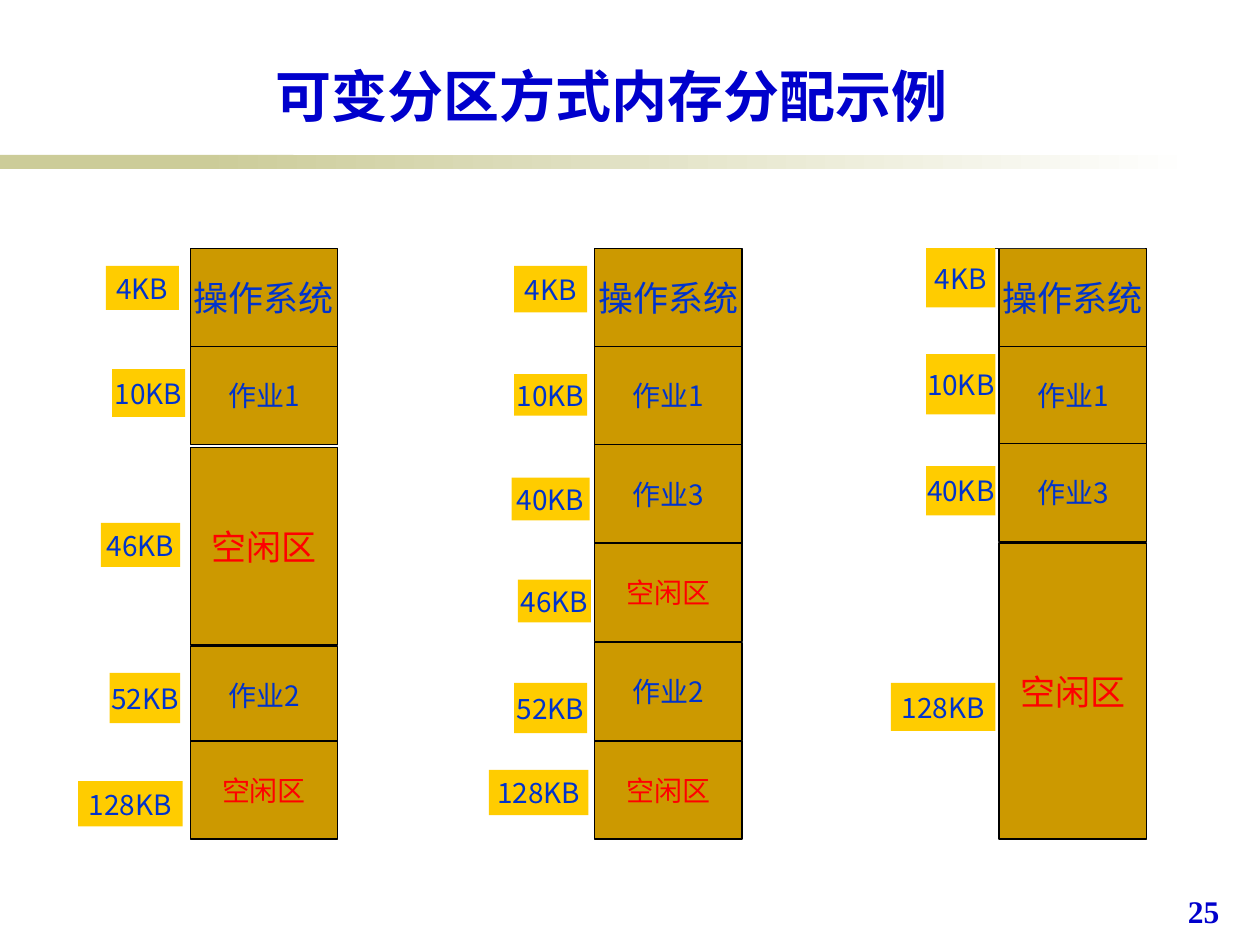
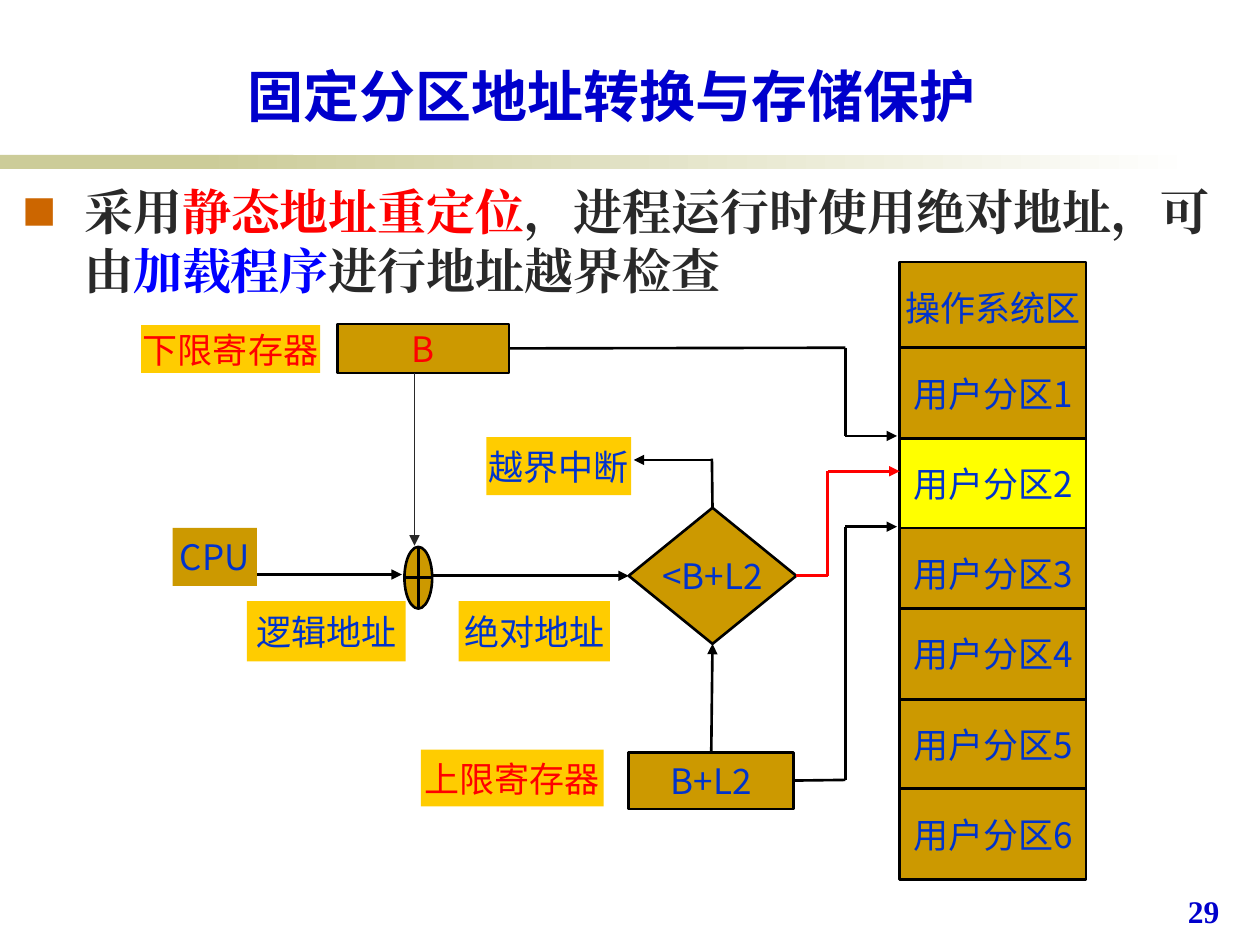
"""Two slides on memory partitions: variable allocation and fixed-partition protection."""
from lxml.etree import SubElement
from pptx import Presentation
from pptx.dml.color import RGBColor
from pptx.enum.shapes import MSO_CONNECTOR, MSO_SHAPE
from pptx.enum.text import MSO_ANCHOR, PP_ALIGN
from pptx.oxml.ns import qn
from pptx.util import Inches, Pt

SANS, SERIF = "Noto Sans CJK JP", "Times New Roman"
GOLD, LABEL, BAND = "CC9900", "FFCC00", "CCCC99"
BLUE, NAVY, RED, BLACK, DARK = "0033CC", "0000CC", "FF0000", "000000", "292929"
RECT = MSO_SHAPE.RECTANGLE


def box(s, kind, at, runs=(), size=20, fill=None, line=None, font=SANS, bold=None,
        align=PP_ALIGN.CENTER, anchor=MSO_ANCHOR.MIDDLE):
    at = [Inches(v) for v in at]
    sp = s.shapes.add_textbox(*at) if kind is None else s.shapes.add_shape(kind, *at)
    tf = sp.text_frame
    tf.word_wrap = kind is None
    tf.vertical_anchor = anchor
    if kind is not None:
        sp.shadow.inherit = False
        tf.margin_left = tf.margin_right = tf.margin_top = tf.margin_bottom = 0
        sp.fill.solid()
        sp.fill.fore_color.rgb = RGBColor.from_string(fill)
        if line:
            sp.line.color.rgb = RGBColor.from_string(BLACK)
            sp.line.width = Pt(line)
        else:
            sp.line.fill.background()
    p = tf.paragraphs[0]
    p.alignment = align
    for text, color in runs:
        r = p.add_run()
        r.text = text
        r.font.size = Pt(size)
        r.font.bold = bold
        r.font.name = font
        r.font.color.rgb = RGBColor.from_string(color)
        SubElement(r.font._element, qn("a:ea")).set("typeface", font)
    return sp


def connect(s, start, end, color=BLACK, width=1.5, arrow=False, begin_at=None, end_at=None):
    c = s.shapes.add_connector(MSO_CONNECTOR.STRAIGHT, *[Inches(v) for v in (*start, *end)])
    c.line.color.rgb = RGBColor.from_string(color)
    c.line.width = Pt(width)
    if arrow:
        SubElement(c.line._get_or_add_ln(), qn("a:tailEnd")).set("type", "triangle")
    SubElement(c._element.spPr, qn("a:effectLst"))
    if begin_at:
        c.begin_connect(*begin_at)
    if end_at:
        c.end_connect(*end_at)


prs = Presentation()
prs.slide_width, prs.slide_height = Inches(10), Inches(7.5)

slides = []
for title, number in [("可变分区方式内存分配示例", "25"), ("固定分区地址转换与存储保护", "29")]:
    s = prs.slides.add_slide(prs.slide_layouts[6])
    box(s, RECT, (0, 1.23, 2.33, 0.11), fill=BAND)
    fade = box(s, RECT, (1.58, 1.23, 7.92, 0.11), fill=BAND)
    fade.fill.gradient()
    fade.fill.gradient_angle = 0
    for stop, color in zip(fade.fill.gradient_stops, (BAND, "FFFFFF")):
        stop.color.rgb = RGBColor.from_string(color)
    box(s, None, (0.83, 0.44, 8.05, 0.63), [(title, NAVY)], 32, bold=True)
    box(s, None, (9.33, 7.03, 0.64, 0.5), [(number, NAVY)], 18, font=SERIF, bold=True,
        align=PP_ALIGN.LEFT, anchor=MSO_ANCHOR.TOP)
    slides.append(s)
allocation, protection = slides

s = allocation
OS, FREE, UNIT = "操作系统", "空闲区", 0.78
columns = [
    ([(OS, 1.97, UNIT), ("作业1", 2.75, UNIT), (FREE, 3.55, 1.57), ("作业2", 5.13, UNIT),
      (FREE, 5.88, UNIT)],
     [("4KB", 0.84, 2.11, 0.58, 0.35), ("10KB", 0.89, 2.93, 0.58, 0.38),
      ("46KB", 0.8, 4.15, 0.63, 0.35), ("52KB", 0.87, 5.34, 0.56, 0.4),
      ("128KB", 0.62, 6.2, 0.83, 0.36)]),
    ([(OS, 1.97, UNIT), ("作业1", 2.75, UNIT), ("作业3", 3.53, UNIT), (FREE, 4.31, UNIT),
      ("作业2", 5.1, UNIT), (FREE, 5.88, UNIT)],
     [("4KB", 4.08, 2.11, 0.58, 0.37), ("10KB", 4.08, 2.97, 0.58, 0.33),
      ("40KB", 4.06, 3.79, 0.62, 0.34), ("46KB", 4.11, 4.6, 0.58, 0.34),
      ("52KB", 4.08, 5.42, 0.58, 0.4), ("128KB", 3.88, 6.11, 0.79, 0.36)]),
    ([(OS, 1.97, UNIT), ("作业1", 2.75, UNIT), ("作业3", 3.52, UNIT), (FREE, 4.31, 2.35)],
     [("4KB", 7.35, 1.97, 0.55, 0.47), ("10KB", 7.35, 2.81, 0.55, 0.48),
      ("40KB", 7.35, 3.7, 0.55, 0.39), ("128KB", 7.07, 5.42, 0.83, 0.38)]),
]
for i, (blocks, labels) in enumerate(columns):
    for text, top, height in blocks:
        size = 20 if text == OS or height > UNIT else 16
        box(s, RECT, (1.51 + 3.21 * i, top, 1.17, height),
            [(text, RED if text == FREE else BLUE)], size, GOLD, 0.75)
    for text, *at in labels:
        box(s, RECT, at, [(text, BLUE)], 16, LABEL)
connect(s, (7.9, 1.97), (9.09, 1.97), DARK, 0.75)

s = protection
body = box(s, None, (0.08, 1.39, 9.88, 5.43), size=28, font=SERIF, bold=True,
           align=PP_ALIGN.LEFT, anchor=MSO_ANCHOR.TOP,
           runs=[("采用", DARK), ("静态地址重定位", RED), ("，进程运行时使用绝对地址，可由", DARK),
                 ("加载程序", "0000FF"), ("进行地址越界检查", DARK)])
pPr = body.text_frame.paragraphs[0]._p.get_or_add_pPr()
pPr.set("marL", str(Inches(0.49)))
pPr.set("indent", str(Inches(-0.49)))
SubElement(SubElement(pPr, qn("a:buClr")), qn("a:srgbClr")).set("val", "CC6600")
SubElement(pPr, qn("a:buSzPct")).set("val", "70000")
SubElement(pPr, qn("a:buFont")).set("typeface", SANS)
SubElement(pPr, qn("a:buChar")).set("char", "■")

for text, color, *at in [
    ("下限寄存器", RED, 1.12, 2.58, 1.42, 0.38),
    ("逻辑地址", BLUE, 1.96, 4.77, 1.26, 0.48),
    ("绝对地址", BLUE, 3.64, 4.77, 1.2, 0.48),
    ("上限寄存器", RED, 3.34, 5.95, 1.45, 0.45),
    ("越界中断", BLUE, 3.86, 3.47, 1.15, 0.46),
]:
    box(s, RECT, at, [(text, color)], fill=LABEL)

partitions = ["操作系统区"] + [f"用户分区{n}" for n in range(1, 7)]
for text, top in zip(partitions, (2.08, 2.76, 3.48, 4.19, 4.83, 5.55, 6.26)):
    box(s, RECT, (7.14, top, 1.48, 0.72), [(text, BLUE)],
        fill="FFFF00" if text == "用户分区2" else GOLD, line=1.5)

lower = box(s, RECT, (2.68, 2.57, 1.36, 0.39), [("B", RED)], fill=GOLD, line=1.5)
upper = box(s, RECT, (4.99, 5.97, 1.31, 0.45), [("B+L2", BLUE)], fill=GOLD, line=1.5)
box(s, RECT, (1.37, 4.19, 0.67, 0.46), [("CPU", BLUE)], fill=GOLD)
box(s, MSO_SHAPE.FLOWCHART_OR, (3.21, 4.34, 0.22, 0.49), fill=GOLD, line=1.5)
check = box(s, MSO_SHAPE.FLOWCHART_DECISION, (4.99, 4.03, 1.33, 1.08), [("<B+L2", BLUE)],
            fill=GOLD, line=1.5)

connect(s, (3.29, 2.96), (3.29, 4.33), DARK, 0.75, True)
connect(s, (2.04, 4.56), (3.19, 4.56), arrow=True)
connect(s, (3.43, 4.57), (4.99, 4.57), arrow=True, end_at=(check, 1))
connect(s, (5.65, 5.97), (5.65, 5.11), arrow=True, begin_at=(upper, 0), end_at=(check, 2))
connect(s, (5.65, 4.03), (5.65, 3.64), begin_at=(check, 0))
connect(s, (5.65, 3.65), (5.03, 3.65), arrow=True)
connect(s, (4.04, 2.76), (6.71, 2.76), begin_at=(lower, 3))
connect(s, (6.71, 2.76), (6.71, 3.46))
connect(s, (6.71, 3.46), (7.12, 3.46), arrow=True)
connect(s, (6.3, 6.19), (6.71, 6.19), begin_at=(upper, 3))
connect(s, (6.71, 6.19), (6.71, 4.18))
connect(s, (6.71, 4.18), (7.12, 4.18), arrow=True)
connect(s, (6.32, 4.57), (6.57, 4.57), RED, begin_at=(check, 3))
connect(s, (6.57, 4.57), (6.57, 3.74), RED)
connect(s, (6.57, 3.74), (7.14, 3.74), RED, arrow=True)

prs.save("out.pptx")
